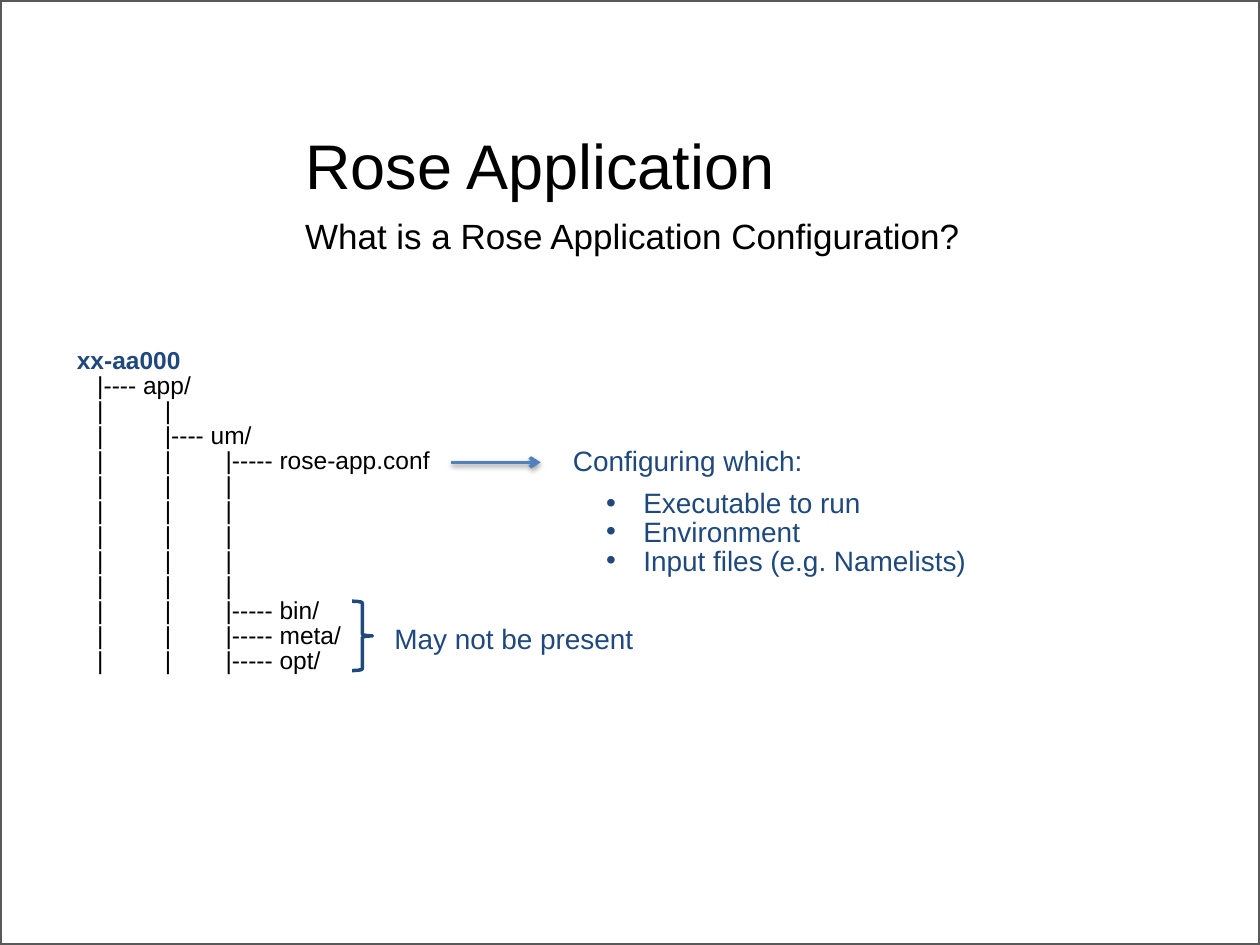
from lxml import etree
from pptx import Presentation
from pptx.dml.color import RGBColor
from pptx.enum.shapes import MSO_CONNECTOR, MSO_SHAPE
from pptx.enum.text import MSO_ANCHOR, MSO_AUTO_SIZE, PP_ALIGN
from pptx.oxml import parse_xml
from pptx.oxml.ns import nsdecls, qn
from pptx.util import Cm, Pt

RECTANGLE = MSO_SHAPE.RECTANGLE
RIGHT_BRACE = MSO_SHAPE.RIGHT_BRACE
STRAIGHT = MSO_CONNECTOR.STRAIGHT
BOTTOM = MSO_ANCHOR.BOTTOM
LEFT = PP_ALIGN.LEFT
NO_AUTOSIZE = MSO_AUTO_SIZE.NONE

COLORS = {"text": "000000", "navy": "1F497D", "arrow": "4F81BD", "frame": "595959"}


def add_line(frame, text, size=14, color="text", bold=False, spacing=0.85, before=0, bullet=False):
    para = frame.paragraphs[0]
    if para.runs:
        para = frame.add_paragraph()
    if bullet:
        properties = para._p.get_or_add_pPr()
        properties.set("marL", str(Cm(1.42)))
        properties.set("indent", str(-Cm(0.75)))
        etree.SubElement(properties, qn("a:buFont")).set("typeface", "Arial")
        etree.SubElement(properties, qn("a:buChar")).set("char", "•")
    para.alignment = LEFT
    para.line_spacing = spacing
    para.space_before = Pt(before)
    span = para.add_run()
    span.text = text
    span.font.name = "Arial"
    span.font.size = Pt(size)
    span.font.bold = bold
    span.font.color.rgb = RGBColor.from_string(COLORS[color])


deck = Presentation()
deck.slide_width, deck.slide_height = Cm(25.4), Cm(19.05)
page = deck.slides.add_slide(deck.slide_layouts[5])
shapes = page.shapes

border = shapes.add_shape(RECTANGLE, 0, 0, deck.slide_width, deck.slide_height)
border.shadow.inherit = False
border.fill.background()
border.line.color.rgb = RGBColor.from_string(COLORS["frame"])
border.line.width = Pt(2.25)

title = shapes.title
title.left, title.top, title.width, title.height = Cm(5.9), Cm(1.6), Cm(19.4), Cm(2.6)
title.text_frame.vertical_anchor = BOTTOM
title.text_frame.auto_size = NO_AUTOSIZE
add_line(title.text_frame, "Rose Application", size=36)

frames = {}
for name, left, top, width, height in [
    ("subtitle", 5.9, 4.3, 19.4, 1.4),
    ("tree", 1.3, 6.93, 14, 6.86),
    ("configuring", 11.3, 8.92, 11.8, 2.87),
    ("optional", 7.7, 12.5, 6, 0.84),
]:
    box = shapes.add_textbox(Cm(left), Cm(top), Cm(width), Cm(height))
    box.text_frame.word_wrap = True
    frames[name] = box.text_frame

add_line(frames["subtitle"], "What is a Rose Application Configuration?", size=20, spacing=0.9)

add_line(frames["tree"], "xx-aa000", color="navy", bold=True)
trunk = "   |         |        |"
tree_lines = ["   |---- app/", "   |         |", "   |         |---- um/", trunk + "----- rose-app.conf"]
tree_lines += [trunk] * 5
tree_lines += [f"{trunk}----- {folder}/" for folder in ("bin", "meta", "opt")]
for text in tree_lines:
    add_line(frames["tree"], text)

add_line(frames["configuring"], "Configuring which:", size=16, color="navy")
for index, text in enumerate(["Executable to run", "Environment", "Input files (e.g. Namelists)"]):
    add_line(frames["configuring"], text, size=16, color="navy", before=0 if index else 8, bullet=True)

add_line(frames["optional"], "May not be present", size=16, color="navy")

arrow = shapes.add_connector(STRAIGHT, Cm(9.1), Cm(9.32), Cm(10.9), Cm(9.32))
arrow.line.color.rgb = RGBColor.from_string(COLORS["arrow"])
arrow.line.width = Pt(2)
etree.SubElement(arrow.line._get_or_add_ln(), qn("a:tailEnd")).set("type", "arrow")
arrow._element.spPr.append(parse_xml(
    f'<a:effectLst {nsdecls("a")}><a:outerShdw blurRad="{Pt(3.1)}" dist="{Pt(1.6)}" dir="5400000" rotWithShape="0">'
    f'<a:srgbClr val="{COLORS["text"]}"><a:alpha val="38000"/></a:srgbClr></a:outerShdw></a:effectLst>'
))

brace = shapes.add_shape(RIGHT_BRACE, Cm(7.1), Cm(12.12), Cm(0.41), Cm(1.4))
brace.shadow.inherit = False
brace.fill.background()
brace.line.color.rgb = RGBColor.from_string(COLORS["navy"])
brace.line.width = Pt(2)

deck.save("out.pptx")
